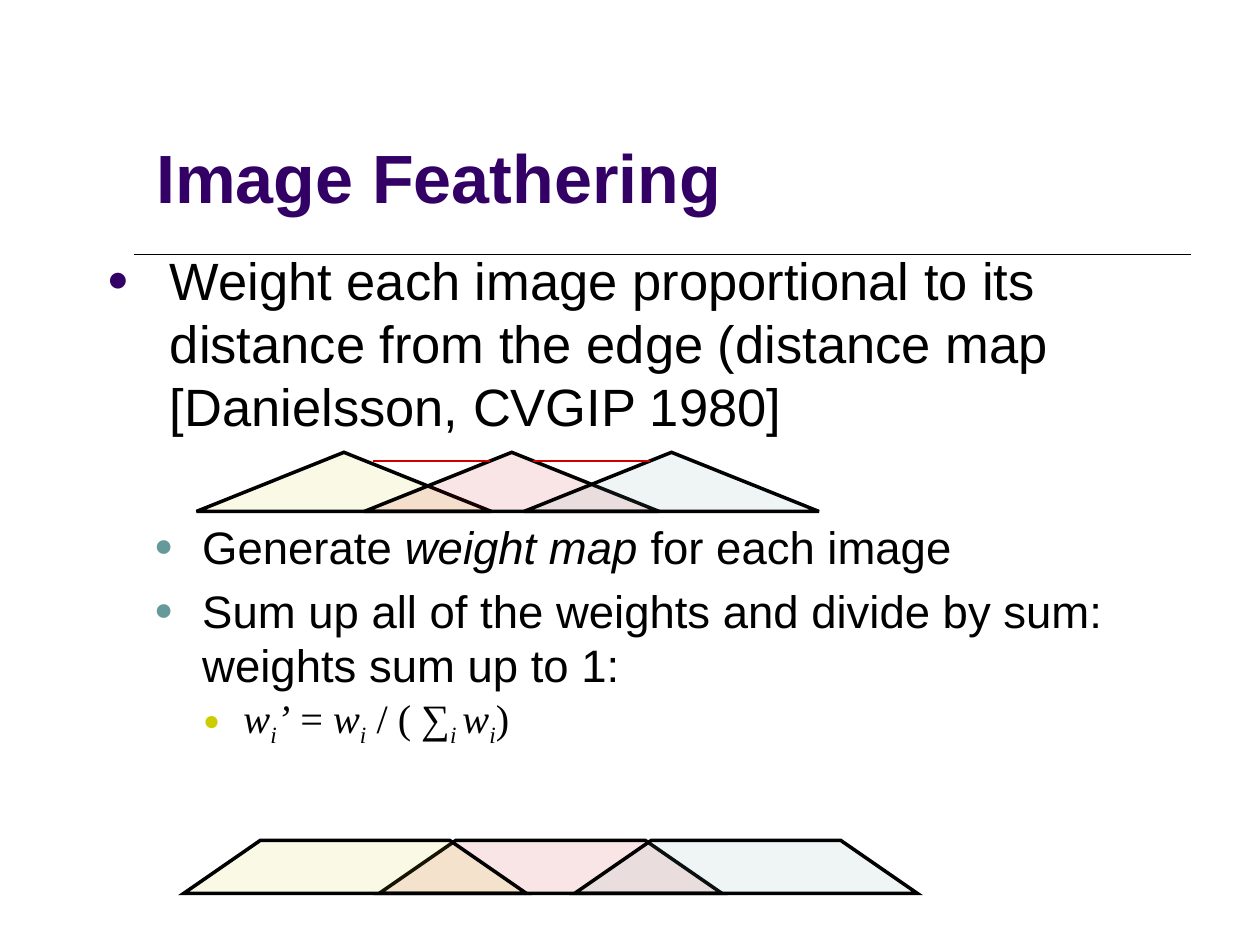
from dataclasses import dataclass

import lxml.etree
import pptx
import pptx.dml.color
import pptx.enum.shapes
import pptx.enum.text
import pptx.oxml.ns
import pptx.util

Pt = pptx.util.Pt
qn = pptx.oxml.ns.qn
BLACK, YELLOW, RED, TEAL, PURPLE = "000000", "CCCC00", "CC0000", "669999", "330066"
TRIANGLE_TOP, TRIANGLE_WIDTH, TRIANGLE_HEIGHT = 258.5, 168.5, 33.8
PLATEAU_TOP, PLATEAU_WIDTH, PLATEAU_HEIGHT, PLATEAU_SLOPE = 480.2, 195.8, 30.3, 43.8
PLATEAU_LEFT, PLATEAU_STEP = 105, 111.7


@dataclass
class Piece:
    text: str
    italic: bool = False
    baseline: int = 0


@dataclass
class Bullet:
    pieces: list[Piece]
    level: int
    margin: float
    hanging: float
    color: str
    size: float
    line_height: float
    gap: float
    font: str = "Arial"


@dataclass
class Weight:
    left: float
    color: str


@dataclass
class Rule:
    left: float
    right: float
    top: float
    color: str
    width: float


def rgb(color: str) -> pptx.dml.color.RGBColor:
    return pptx.dml.color.RGBColor.from_string(color)


def apply(target, values: dict) -> None:
    for name, value in values.items():
        setattr(target, name, value)


def add_element(parent, tag: str, **attributes: str):
    return lxml.etree.SubElement(parent, qn(tag), **attributes)


def style_weight(shape, color: str) -> None:
    shape.shadow.inherit = False
    shape.fill.solid()
    shape.fill.fore_color.rgb = rgb(color)
    fill_color = shape.fill._xPr.find(qn("a:solidFill"))[0]
    add_element(fill_color, "a:alpha", val="10000")
    shape.line.color.rgb = rgb(BLACK)
    shape.line.width = Pt(2)
    add_element(shape.line._get_or_add_ln(), "a:miter", lim="800000")


def draw_triangle(slide, weight: Weight) -> None:
    triangle = slide.shapes.add_shape(
        pptx.enum.shapes.MSO_SHAPE.ISOSCELES_TRIANGLE,
        Pt(weight.left), Pt(TRIANGLE_TOP), Pt(TRIANGLE_WIDTH), Pt(TRIANGLE_HEIGHT))
    style_weight(triangle, weight.color)


def draw_plateau(slide, weight: Weight) -> None:
    left, right = weight.left, weight.left + PLATEAU_WIDTH
    bottom = PLATEAU_TOP + PLATEAU_HEIGHT
    corners = [(left + PLATEAU_SLOPE, PLATEAU_TOP),
               (right - PLATEAU_SLOPE, PLATEAU_TOP), (right, bottom)]
    outline = slide.shapes.build_freeform(Pt(left), Pt(bottom))
    outline.add_line_segments([(Pt(x), Pt(y)) for x, y in corners], close=True)
    style_weight(outline.convert_to_shape(), weight.color)


def draw_rule(slide, rule: Rule) -> None:
    connector = slide.shapes.add_connector(
        pptx.enum.shapes.MSO_CONNECTOR.STRAIGHT,
        Pt(rule.left), Pt(rule.top), Pt(rule.right), Pt(rule.top))
    connector.line.color.rgb = rgb(rule.color)
    connector.line.width = Pt(rule.width)
    add_element(connector._element.spPr, "a:effectLst")


def write_bullet(paragraph, bullet: Bullet) -> None:
    properties = paragraph._p.get_or_add_pPr()
    properties.set("marL", str(Pt(bullet.margin)))
    properties.set("indent", str(-Pt(bullet.hanging)))
    add_element(add_element(properties, "a:buClr"), "a:srgbClr", val=bullet.color)
    add_element(properties, "a:buSzPct", val="70000")
    add_element(properties, "a:buFont", typeface="Arial")
    add_element(properties, "a:buChar", char="●")
    apply(paragraph, {"level": bullet.level, "line_spacing": Pt(bullet.line_height),
                      "space_before": Pt(bullet.gap)})
    for piece in bullet.pieces:
        run = paragraph.add_run()
        run.text = piece.text
        apply(run.font, {"name": bullet.font, "size": Pt(bullet.size), "italic": piece.italic})
        run.font.color.rgb = rgb(BLACK)
        if piece.baseline:
            run.font._element.set("baseline", str(piece.baseline))


def italic(text: str) -> Piece:
    return Piece(text, italic=True)


def subscript(text: str) -> Piece:
    return Piece(text, italic=True, baseline=-25000)


BULLETS = [
    Bullet([Piece("Weight each image proportional to its distance from the edge "
                  "(distance map [Danielsson, CVGIP 1980]")],
           0, 36, 36, PURPLE, 30, 36, 0),
    Bullet([Piece("Generate "), italic("weight map "), Piece("for each image")],
           1, 54.5, 27.5, TEAL, 26, 31, 47),
    Bullet([Piece("Sum up all of the weights and divide by sum: weights sum up to 1:")],
           1, 54.5, 27.5, TEAL, 26, 31, 5.5),
    Bullet([italic("w"), subscript("i"), italic("’"), Piece(" = "), italic("w"),
            subscript("i"), Piece(" / ( ∑"), subscript("i "), italic("w"),
            subscript("i"), Piece(")")],
           2, 78, 23, YELLOW, 23, 27.5, 5, "Times New Roman"),
]
TRIANGLES = [Weight(112.3, YELLOW), Weight(208.2, RED), Weight(299.5, TEAL)]
PLATEAUS = [Weight(PLATEAU_LEFT + PLATEAU_STEP * place, color)
            for place, color in [(1, RED), (0, YELLOW), (2, TEAL)]]
TITLE_RULE = Rule(76.5, 680.3, 145.2, BLACK, 0.5)
OVERLAP_RULES = [Rule(left, left + 67, 263.4, RED, 0.75) for left in (213.1, 304.5)]


def main() -> None:
    presentation = pptx.Presentation()
    apply(presentation, {"slide_width": Pt(720), "slide_height": Pt(540)})
    slide = presentation.slides.add_slide(presentation.slide_layouts[5])
    draw_rule(slide, TITLE_RULE)

    title = slide.shapes.title
    apply(title, {"left": Pt(82), "top": Pt(26), "width": Pt(638), "height": Pt(102)})
    title.text_frame.text = "Image Feathering"
    apply(title.text_frame, {"vertical_anchor": pptx.enum.text.MSO_ANCHOR.BOTTOM,
                             "auto_size": pptx.enum.text.MSO_AUTO_SIZE.NONE})
    heading = title.text_frame.paragraphs[0]
    heading.alignment = pptx.enum.text.PP_ALIGN.LEFT
    heading_font = heading.runs[0].font
    apply(heading_font, {"name": "Arial", "size": Pt(39), "bold": True})
    heading_font.color.rgb = rgb(PURPLE)

    body = slide.shapes.add_textbox(Pt(54), Pt(138), Pt(612), Pt(342)).text_frame
    body.word_wrap = True
    for index, bullet in enumerate(BULLETS):
        write_bullet(body.add_paragraph() if index else body.paragraphs[0], bullet)

    for weight in TRIANGLES:
        draw_triangle(slide, weight)
    for rule in OVERLAP_RULES:
        draw_rule(slide, rule)
    for weight in PLATEAUS:
        draw_plateau(slide, weight)
    presentation.save("out.pptx")


if __name__ == "__main__":
    main()
